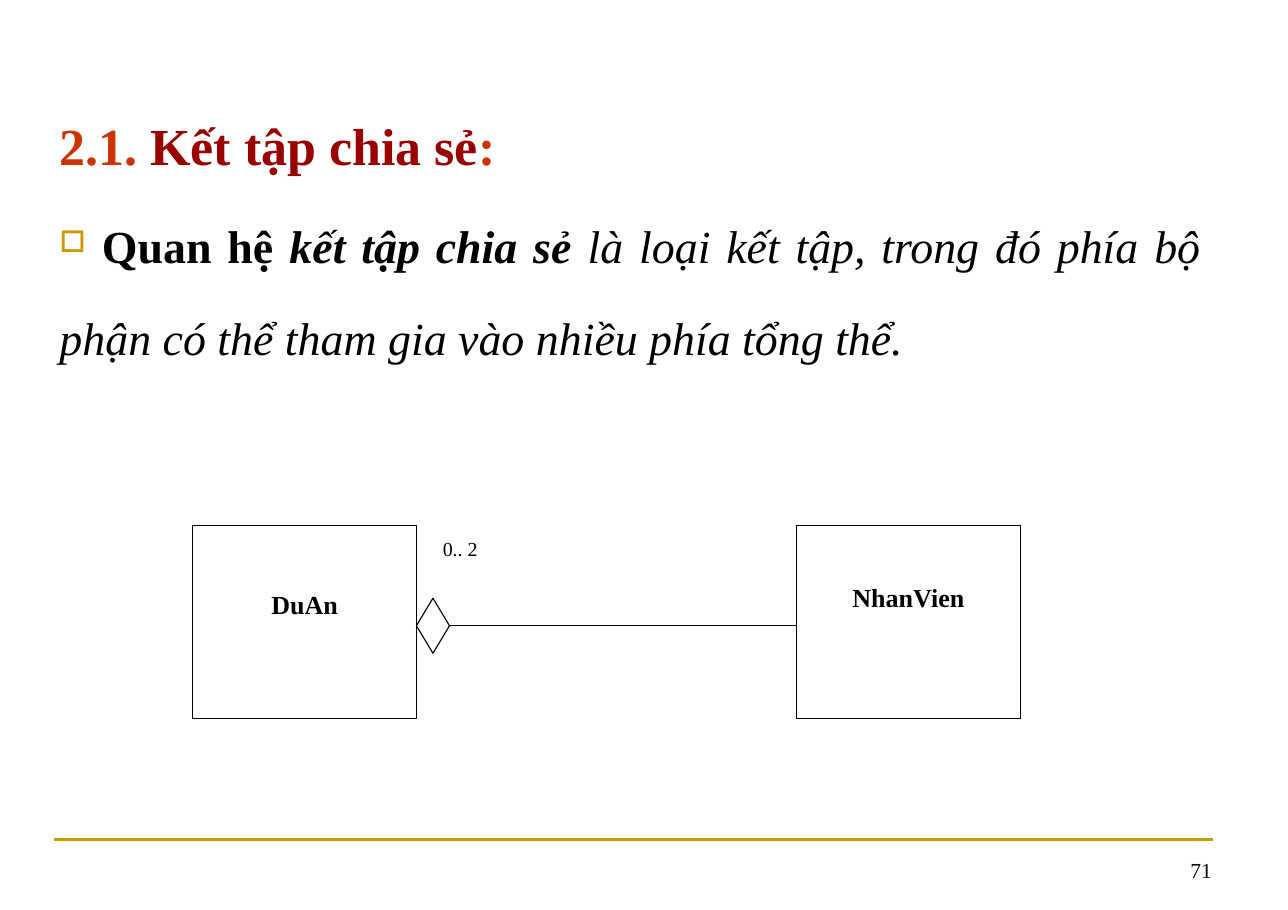
from lxml import etree
from pptx import Presentation
from pptx.dml.color import RGBColor
from pptx.enum.shapes import MSO_CONNECTOR, MSO_SHAPE
from pptx.enum.text import MSO_ANCHOR, PP_ALIGN
from pptx.oxml.ns import qn
from pptx.util import Inches, Pt

STRAIGHT = MSO_CONNECTOR.STRAIGHT
RECTANGLE, DECISION = MSO_SHAPE.RECTANGLE, MSO_SHAPE.FLOWCHART_DECISION
TOP, BOTTOM = MSO_ANCHOR.TOP, MSO_ANCHOR.BOTTOM
LEFT, CENTER, RIGHT, JUSTIFY = PP_ALIGN.LEFT, PP_ALIGN.CENTER, PP_ALIGN.RIGHT, PP_ALIGN.JUSTIFY
FONT = "Times New Roman"
BLACK, WHITE, GOLD, ORANGE, RED = "000000", "FFFFFF", "CC9900", "CC3300", "990000"


def rgb(color):
    return RGBColor.from_string(color)


def add_run(paragraph, text, size=30, color=BLACK, bold=False, italic=False):
    run = paragraph.add_run()
    run.text = text
    font = run.font
    font.name, font.size, font.bold, font.italic = FONT, Pt(size), bold, italic
    font.color.rgb = rgb(color)


def set_frame(frame, anchor=TOP, top=0.06, side=0.11):
    frame.word_wrap = True
    frame.vertical_anchor = anchor
    frame.margin_left = frame.margin_right = Inches(side)
    frame.margin_top, frame.margin_bottom = Inches(top), Inches(0.06)


def add_textbox(slide, left, top, width, height, **frame_format):
    box = slide.shapes.add_textbox(Inches(left), Inches(top), Inches(width), Inches(height))
    set_frame(box.text_frame, **frame_format)
    return box.text_frame


def add_label(slide, text, left, top, width, height, align=LEFT, anchor=TOP, size=13):
    paragraph = add_textbox(slide, left, top, width, height, anchor=anchor).paragraphs[0]
    paragraph.alignment = align
    add_run(paragraph, text, size=size)


def add_bullet(paragraph, char, color, percent):
    properties = paragraph._p.get_or_add_pPr()
    properties.set("marL", "0")
    properties.set("indent", "0")
    bullet_color = etree.SubElement(properties, qn("a:buClr"))
    etree.SubElement(bullet_color, qn("a:srgbClr"), val=color)
    etree.SubElement(properties, qn("a:buSzPct"), val=str(percent * 1000))
    etree.SubElement(properties, qn("a:buChar"), char=char)


def add_outlined(slide, preset, left, top, width, height):
    shape = slide.shapes.add_shape(preset, Inches(left), Inches(top), Inches(width), Inches(height))
    shape.shadow.inherit = False
    shape.fill.solid()
    shape.fill.fore_color.rgb = rgb(WHITE)
    shape.line.color.rgb = rgb(BLACK)
    shape.line.width = Pt(0.75)
    return shape


def add_class_box(slide, name, left, name_offset):
    """Draw a UML class whose name starts name_offset inches below its top."""
    box = add_outlined(slide, RECTANGLE, left, 4.77, 2.03, 1.75)
    set_frame(box.text_frame, top=name_offset)
    paragraph = box.text_frame.paragraphs[0]
    paragraph.alignment = CENTER
    add_run(paragraph, name, size=17, bold=True)


def add_line(slide, x1, x2, y, color=BLACK, width=0.75):
    line = slide.shapes.add_connector(STRAIGHT, Inches(x1), Inches(y), Inches(x2), Inches(y))
    line.line.color.rgb = rgb(color)
    line.line.width = Pt(width)
    etree.SubElement(line._element.spPr, qn("a:effectLst"))


def add_definition(slide):
    frame = add_textbox(slide, 0.43, 0.69, 10.58, 2.85)
    heading, definition = frame.paragraphs[0], frame.add_paragraph()
    add_bullet(definition, "□", GOLD, 65)
    for paragraph in (heading, definition):
        paragraph.alignment = JUSTIFY
        paragraph.line_spacing = 1.5
    definition.space_before = Pt(9)

    add_run(heading, "2.1. ", size=34, color=ORANGE, bold=True)
    add_run(heading, "Kết tập chia sẻ", size=34, color=RED, bold=True)
    add_run(heading, ":", size=34, color=ORANGE, bold=True)
    add_run(definition, " Quan hệ ", bold=True)
    add_run(definition, "kết tập chia sẻ ", bold=True, italic=True)
    add_run(definition, "là loại kết tập, trong đó phía bộ phận có thể "
                        "tham gia vào nhiều phía tổng thể.", italic=True)
    add_run(definition, " ", size=34, italic=True)


def add_aggregation(slide):
    add_class_box(slide, "NhanVien", 7.23, 0.51)
    add_class_box(slide, "DuAn", 1.75, 0.57)
    add_outlined(slide, DECISION, 3.78, 5.43, 0.3, 0.5)
    add_line(slide, 4.08, 7.23, 5.68)
    add_label(slide, "0.. 2", 3.91, 4.81, 0.9, 0.35)


def main():
    prs = Presentation()
    prs.slide_width, prs.slide_height = Inches(11.69), Inches(8.26)
    slide = prs.slides.add_slide(prs.slide_layouts[6])
    add_line(slide, 0.49, 11.01, 7.62, color=GOLD, width=1.5)
    add_label(slide, "71", 8.38, 7.52, 2.73, 0.55, align=RIGHT, anchor=BOTTOM, size=14)
    add_definition(slide)
    add_aggregation(slide)
    prs.save("out.pptx")


if __name__ == "__main__":
    main()
